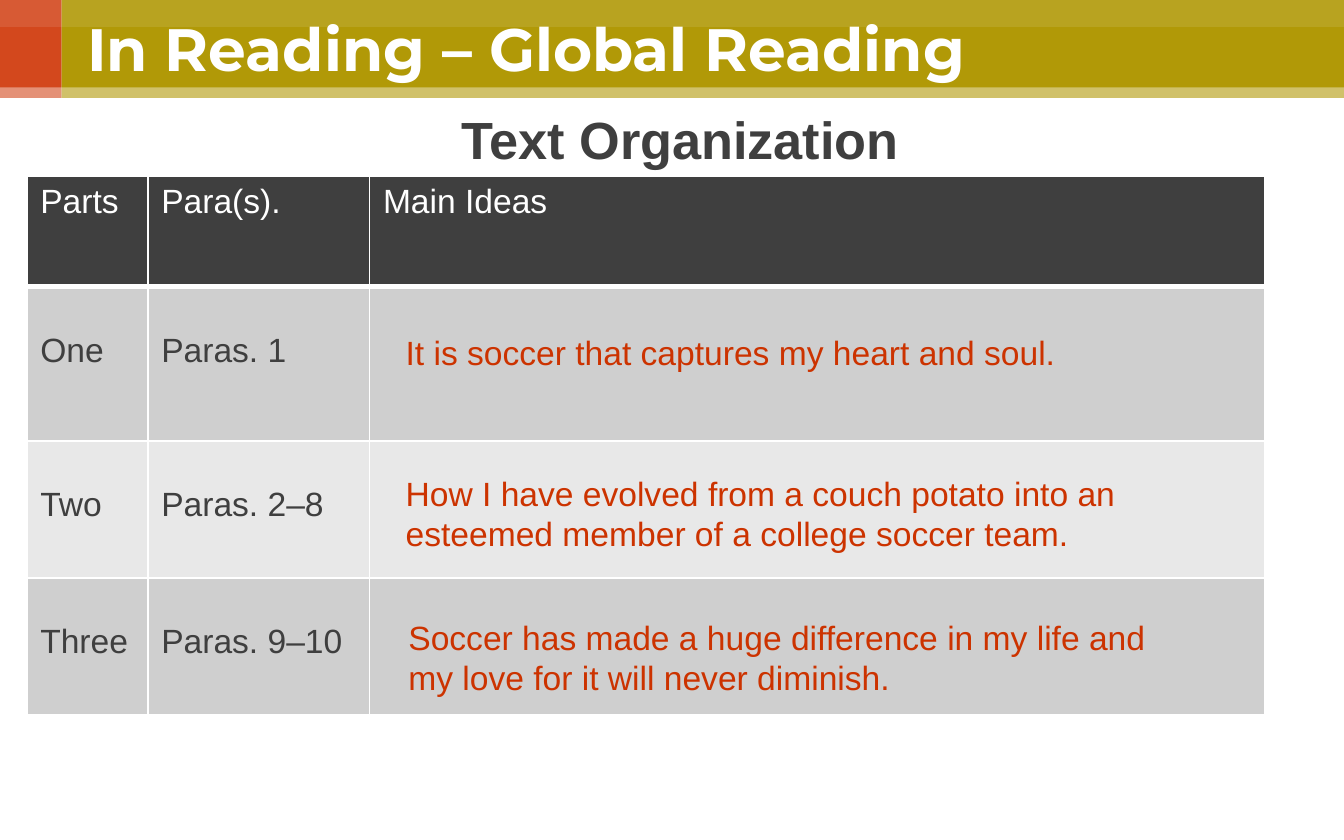
from lxml.etree import SubElement as Sub
from pptx import Presentation
from pptx.dml.color import RGBColor as RGB
from pptx.enum.shapes import MSO_SHAPE as Shape
from pptx.enum.text import MSO_ANCHOR as Anchor, PP_ALIGN as Align
from pptx.oxml.ns import qn
from pptx.util import Inches, Pt

COLORS = {
    "white": "FFFFFF", "red": "D3481D", "olive": "B19907", "dark": "3F3F3F",
    "gray": "CFCFCF", "pale": "E8E8E8", "idea": "CC3300",
}
BARS = [
    (0, 0, 0.46, 0.73, "red", 100),
    (0.46, 0, 9.54, 0.73, "olive", 100),
    (0, 0.65, 10, 0.2, "white", 40),
    (0, 0, 10, 0.2, "white", 10),
]
COLS = [0.9, 1.65, 6.66]
ROWS = [0.82, 1.15, 1.02, 1.02]
CELLS = [
    ["Parts", "Para(s).", "Main Ideas"],
    ["One", "Paras. 1", ""],
    ["Two", "Paras. 2–8", ""],
    ["Three", "Paras. 9–10", ""],
]
IDEAS = [
    (2.92, 2.42, 5.96, 0.4, "It is soccer that captures my heart and soul."),
    (2.92, 3.47, 6.46, 0.71, "How I have evolved from a couch potato into an "
                             "esteemed member of a college soccer team."),
    (2.94, 4.54, 5.98, 0.71, "Soccer has made a huge difference in my life and "
                             "my love for it will never diminish."),
]


def color(name):
    return RGB.from_string(COLORS[name])


def add_bar(slide, x, y, w, h, tone, alpha):
    bar = slide.shapes.add_shape(
        Shape.RECTANGLE, Inches(x), Inches(y), Inches(w), Inches(h))
    bar.shadow.inherit = False
    bar.line.fill.background()
    bar.fill.solid()
    bar.fill.fore_color.rgb = color(tone)
    if alpha < 100:
        tint = bar._element.spPr.find(".//" + qn("a:srgbClr"))
        Sub(tint, qn("a:alpha"), val=str(alpha * 1000))


def add_run(para, text, tone, size=18, font="Arial", bold=False):
    run = para.add_run()
    run.text = text
    run.font.size = Pt(size)
    run.font.name = font
    run.font.bold = bold
    run.font.color.rgb = color(tone)


def add_text(slide, x, y, w, h, text, tone, space=1.0, align=Align.LEFT,
             anchor=Anchor.TOP, **style):
    box = slide.shapes.add_textbox(Inches(x), Inches(y), Inches(w), Inches(h))
    frame = box.text_frame
    frame.word_wrap = True
    frame.vertical_anchor = anchor
    para = frame.paragraphs[0]
    para.alignment = align
    para.line_spacing = space
    add_run(para, text, tone, **style)


def add_edges(cell, base):
    props = cell._tc.get_or_add_tcPr()
    for side, width in zip("LRTB", (1, 1, 1, base)):
        edge = Sub(props, qn("a:ln" + side), w=str(Pt(width)))
        fill = Sub(edge, qn("a:solidFill"))
        Sub(fill, qn("a:srgbClr"), val=COLORS["white"])


def add_grid(slide, x, y):
    table = slide.shapes.add_table(
        len(ROWS), len(COLS), Inches(x), Inches(y),
        Inches(sum(COLS)), Inches(sum(ROWS))).table
    for col, width in zip(table.columns, COLS):
        col.width = Inches(width)
    for i, (row, height) in enumerate(zip(table.rows, ROWS)):
        row.height = Inches(height)
        head = i == 0
        tone = "dark" if head else ("pale", "gray")[i % 2]
        for cell, text in zip(row.cells, CELLS[i]):
            add_edges(cell, 3 if head else 1)
            cell.fill.solid()
            cell.fill.fore_color.rgb = color(tone)
            cell.margin_top = Inches(0.05 if head else 0.34)
            if text:
                add_run(cell.text_frame.paragraphs[0], text,
                        "white" if head else "dark")


def main():
    deck = Presentation()
    deck.slide_width, deck.slide_height = Inches(10), Inches(6.25)
    slide = deck.slides.add_slide(deck.slide_layouts[6])
    for bar in BARS:
        add_bar(slide, *bar)
    add_text(slide, 0.55, 0.08, 8.97, 0.62, "In Reading – Global Reading",
             "white", space=0.9, anchor=Anchor.MIDDLE,
             size=32, font="Montserrat", bold=True)
    add_text(slide, 3.21, 0.61, 3.7, 0.71, "Text Organization", "dark",
             space=1.3, align=Align.CENTER, size=28, bold=True)
    add_grid(slide, 0.2, 1.31)
    for idea in IDEAS:
        add_text(slide, *idea, "idea")
    deck.save("out.pptx")


if __name__ == "__main__":
    main()
